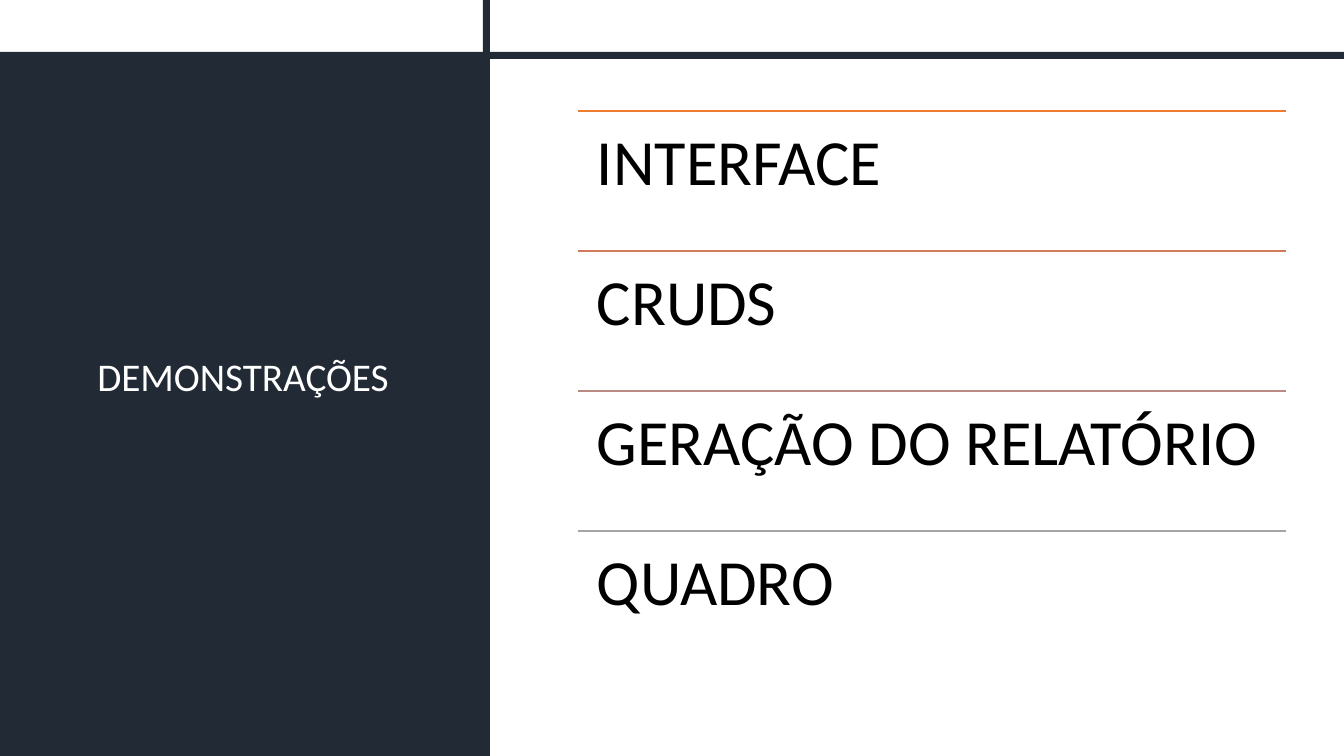
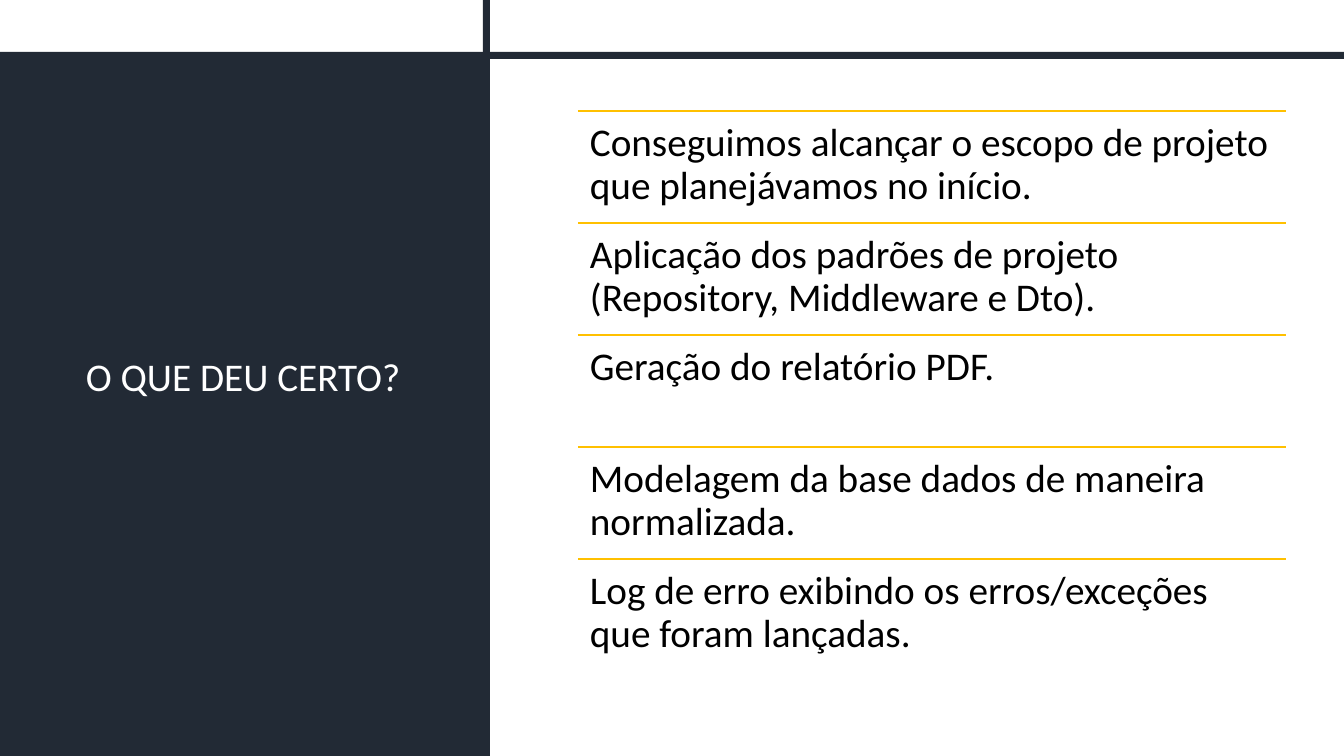
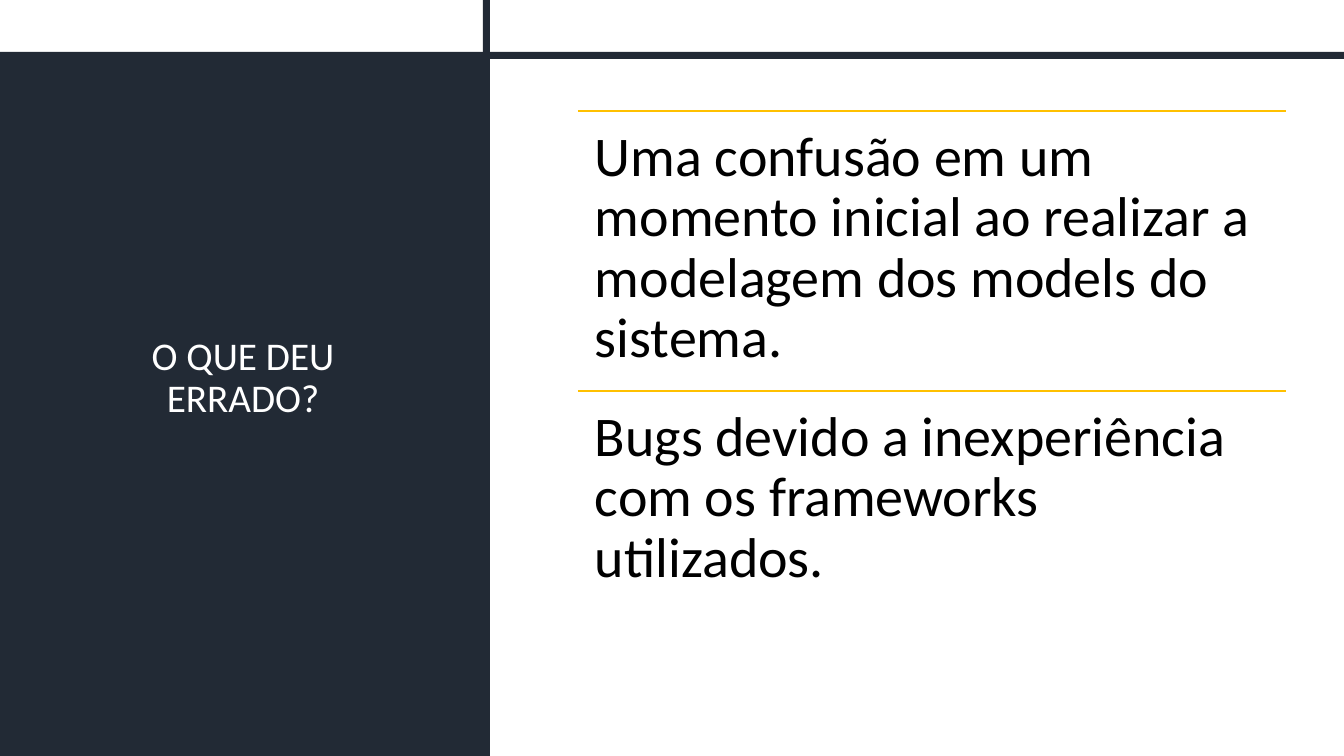
"""Build three slides, each with a dark title panel and a ruled list."""
from pptx import Presentation, util as u
from pptx.dml.color import RGBColor
from pptx.enum import shapes, text
from pptx.oxml.ns import qn
from lxml import etree


class Theme:
    font = "Calibri"
    dark = "222A35"
    white = "FFFFFF"
    black = "000000"
    gold = "FFC000"
    fade = ["ED7D31", "D17B5C", "B98A82", "A5A5A5"]
    title = 28
    rule = 1


SCALE = 12192000 / 1344
WIDE, HIGH = 1344, 756
LEFT, TOP, SPAN, DEPTH = 578, 111, 708, 560
BANDS = [(0, 58, 490, 698), (483, 0, 7, HIGH), (0, 52, WIDE, 7)]
SLIDES = [
    ("DEMONSTRAÇÕES", 46, 19, Theme.fade,
     ["INTERFACE", "CRUDS", "GERAÇÃO DO RELATÓRIO", "QUADRO"]),
    ("O QUE DEU CERTO?", 28, 12, [Theme.gold] * 5,
     ["Conseguimos alcançar o escopo de projeto que planejávamos no início.",
      "Aplicação dos padrões de projeto (Repository, Middleware e Dto).",
      "Geração do relatório PDF.",
      "Modelagem da base dados de maneira normalizada.",
      "Log de erro exibindo os erros/exceções que foram lançadas."]),
    ("O QUE DEU ERRADO?", 40, 17, [Theme.gold] * 2,
     ["Uma confusão em um momento inicial ao realizar a modelagem dos models do sistema.",
      "Bugs devido a inexperiência com os frameworks utilizados."]),
]


def px(*sizes):
    return [u.Emu(round(size * SCALE)) for size in sizes]


def write(slide, area, words, size, color, inset):
    frame = slide.shapes.add_textbox(*px(*area)).text_frame
    frame.word_wrap = True
    frame.margin_left = frame.margin_right = px(inset)[0]
    frame.margin_top = frame.margin_bottom = px(inset)[0]
    frame.text = words
    line = frame.paragraphs[0]
    line.line_spacing = 0.9
    font = line.runs[0].font
    font.name = Theme.font
    font.size = u.Pt(size)
    font.color.rgb = RGBColor.from_string(color)
    return frame


deck = Presentation()
deck.slide_width, deck.slide_height = px(WIDE, HIGH)

for title, size, inset, colors, items in SLIDES:
    slide = deck.slides.add_slide(deck.slide_layouts[6])
    for area in BANDS:
        band = slide.shapes.add_shape(shapes.MSO_SHAPE.RECTANGLE, *px(*area))
        band.shadow.inherit = False
        band.fill.solid()
        band.fill.fore_color.rgb = RGBColor.from_string(Theme.dark)
        band.line.fill.background()

    head = write(slide, (66, 85, 354, 587), title, Theme.title, Theme.white, 10)
    head.vertical_anchor = text.MSO_ANCHOR.MIDDLE
    head.paragraphs[0].alignment = text.PP_ALIGN.CENTER

    step = DEPTH // len(items)
    for row, (item, color) in enumerate(zip(items, colors)):
        y = TOP + row * step
        rule = slide.shapes.add_connector(
            shapes.MSO_CONNECTOR.STRAIGHT, *px(LEFT, y, LEFT + SPAN, y))
        rule.line.width = u.Pt(Theme.rule)
        rule.line.color.rgb = RGBColor.from_string(color)
        etree.SubElement(rule._element.spPr, qn("a:effectLst"))
        write(slide, (LEFT, y, SPAN, step), item, size, Theme.black, inset)

deck.save("out.pptx")
